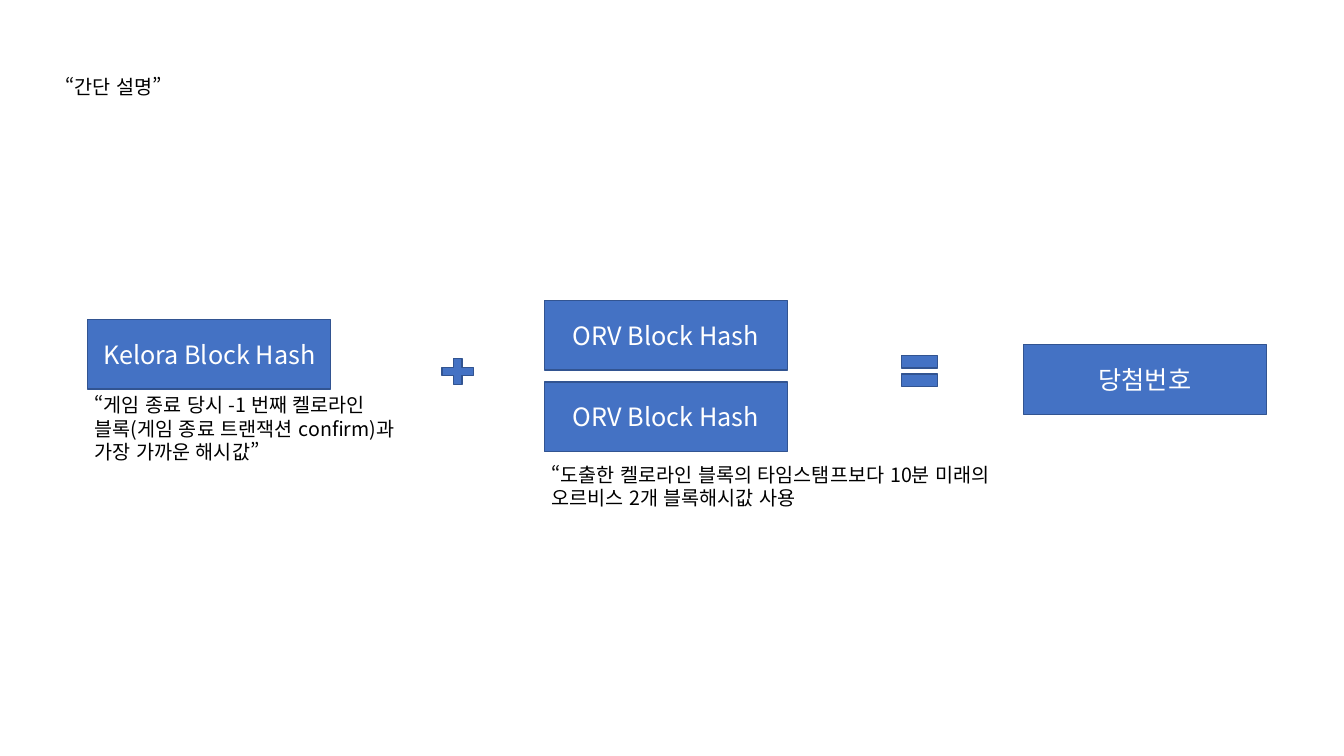
"""Build the slide that explains how block hashes make the winning number."""
from lxml import etree
from pptx import Presentation
from pptx.dml.color import RGBColor
from pptx.enum.lang import MSO_LANGUAGE_ID
from pptx.enum.shapes import MSO_SHAPE
from pptx.enum.text import MSO_ANCHOR, MSO_AUTO_SIZE, PP_ALIGN
from pptx.oxml.ns import qn
from pptx.util import Inches, Pt

RECTANGLE = MSO_SHAPE.RECTANGLE
PLUS, EQUAL = MSO_SHAPE.MATH_PLUS, MSO_SHAPE.MATH_EQUAL
LEFT, CENTER = PP_ALIGN.LEFT, PP_ALIGN.CENTER
TOP, MIDDLE = MSO_ANCHOR.TOP, MSO_ANCHOR.MIDDLE
GROW = MSO_AUTO_SIZE.SHAPE_TO_FIT_TEXT
KOREAN = MSO_LANGUAGE_ID.KOREAN

FONT = "Noto Sans CJK KR"
COLORS = {"fill": "4472C4", "outline": "325491", "label": "FFFFFF", "note": "000000"}
LABEL = {"size": Pt(18), "name": FONT, "language_id": KOREAN}
NOTE = {"size": Pt(14), "name": FONT, "language_id": KOREAN}
NOTE_FRAME = {
    "vertical_anchor": TOP,
    "auto_size": GROW,
    "margin_left": Inches(0.1),
    "margin_right": Inches(0.1),
    "margin_top": Inches(0.05),
    "margin_bottom": Inches(0.05),
}
BOX_WIDTH, BOX_HEIGHT = 2.41, 0.69


def write_lines(frame, lines, font_format, color, alignment):
    """Fill a text frame with one formatted paragraph per line."""
    for index, line in enumerate(lines):
        para = frame.add_paragraph() if index else frame.paragraphs[0]
        para.alignment = alignment
        span = para.add_run()
        span.text = line
        for name, value in font_format.items():
            setattr(span.font, name, value)
        span.font.color.rgb = RGBColor.from_string(COLORS[color])
        east_asian = etree.SubElement(span._r.get_or_add_rPr(), qn("a:ea"))
        east_asian.set("typeface", FONT)


def add_blue_shape(slide, kind, left, top, width, height):
    """Add a blue outlined shape without a shadow."""
    shape = slide.shapes.add_shape(
        kind, Inches(left), Inches(top), Inches(width), Inches(height)
    )
    shape.shadow.inherit = False
    shape.fill.solid()
    shape.fill.fore_color.rgb = RGBColor.from_string(COLORS["fill"])
    shape.line.color.rgb = RGBColor.from_string(COLORS["outline"])
    shape.line.width = Pt(1)
    return shape


deck = Presentation()
deck.slide_width, deck.slide_height = Inches(13.33), Inches(7.5)
page = deck.slides.add_slide(deck.slide_layouts[5])

hash_boxes = [
    ("Kelora Block Hash", 0.87, 3.17),
    ("ORV Block Hash", 5.4, 3.79),
    ("ORV Block Hash", 5.4, 2.98),
    ("당첨번호", 10.15, 3.42),
]
for label, left, top in hash_boxes:
    box = add_blue_shape(page, RECTANGLE, left, top, BOX_WIDTH, BOX_HEIGHT)
    box.text_frame.vertical_anchor = MIDDLE
    box.text_frame.word_wrap = True
    write_lines(box.text_frame, [label], LABEL, "label", CENTER)

add_blue_shape(page, PLUS, 4.33, 3.51, 0.42, 0.35)
add_blue_shape(page, EQUAL, 8.88, 3.42, 0.48, 0.52)

title = page.shapes.title
kelora_note = page.shapes.add_textbox(0, 0, 0, 0)
orv_note = page.shapes.add_textbox(0, 0, 0, 0)
notes = [
    (title, (0.55, 0.69, 3.2, 0.34), True, ["“간단 설명”"]),
    (
        kelora_note,
        (0.84, 3.85, 3.2, 0.81),
        True,
        ["“게임 종료 당시 -1 번째 켈로라인 블록(게임 종료 트랜잭션 confirm)과 가장 가까운 해시값”"],
    ),
    (
        orv_note,
        (5.37, 4.54, 4.96, 0.57),
        False,
        ["“도출한 켈로라인 블록의 타임스탬프보다 10분 미래의", "오르비스 2개 블록해시값 사용"],
    ),
]
for note, place, wraps, lines in notes:
    for name, value in zip(("left", "top", "width", "height"), place):
        setattr(note, name, Inches(value))
    for name, value in NOTE_FRAME.items():
        setattr(note.text_frame, name, value)
    note.text_frame.word_wrap = wraps
    write_lines(note.text_frame, lines, NOTE, "note", LEFT)

deck.save("out.pptx")
